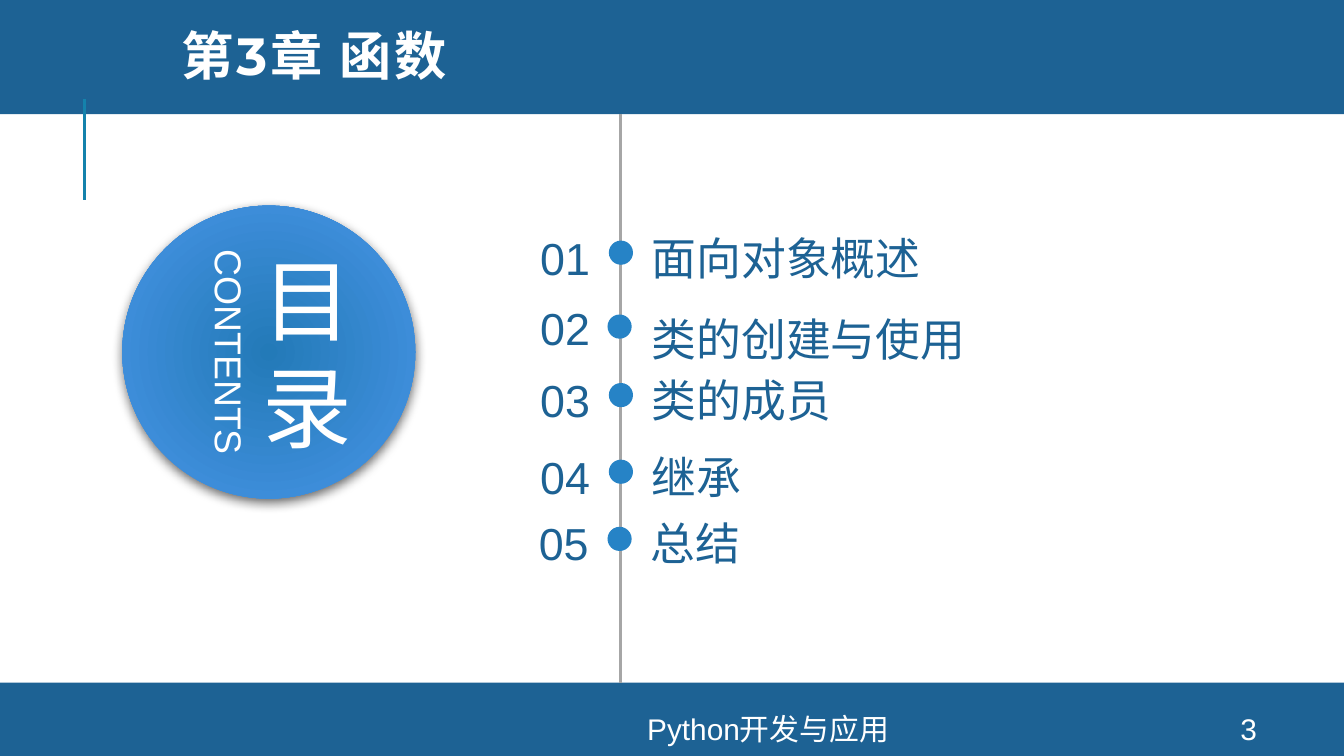
import dataclasses
import typing

import lxml.etree
import pptx
import pptx.dml.color
import pptx.enum.shapes
import pptx.enum.text
import pptx.oxml
import pptx.oxml.ns
import pptx.util

RGBColor = pptx.dml.color.RGBColor
ShapeKind = pptx.enum.shapes.MSO_SHAPE
Align = pptx.enum.text.PP_ALIGN
Anchor = pptx.enum.text.MSO_ANCHOR

NAVY = RGBColor(0x1D, 0x62, 0x94)
BLUE = RGBColor(0x26, 0x83, 0xC6)
TEAL = RGBColor(0x14, 0x82, 0xAC)
GREY = RGBColor(0xA6, 0xA6, 0xA6)
WHITE = RGBColor(0xFF, 0xFF, 0xFF)
DISC_CENTRE = RGBColor(0x23, 0x7A, 0xB8)
DISC_EDGE = RGBColor(0x48, 0x95, 0xE7)

# Grid of 1000 columns on a 16:9 page, with square cells
CELL = pptx.util.Inches(0.01)
COLUMNS = 1000
ROWS = COLUMNS * 9 / 16
HEADER_END, FOOTER_START = 85, 508
NAMESPACE = 'xmlns:a="http://schemas.openxmlformats.org/drawingml/2006/main"'


class Frame(typing.NamedTuple):
    column: float
    row: float
    columns: float
    rows: float

    def lengths(self) -> list[int]:
        return [round(CELL * count) for count in self]


@dataclasses.dataclass
class Style:
    size: int
    color: RGBColor = WHITE
    font: str = "Arial"
    bold: bool = False
    align: Align = Align.LEFT
    anchor: Anchor = Anchor.TOP
    inset: bool = True
    line_spacing: float = 1.0
    tracking: float = 0


@dataclasses.dataclass
class Entry:
    number: str
    heading: str
    row: int
    dot_row: int
    shift: int = 0
    dot_shift: int = 0
    heading_columns: int = 337
    heading_rows: int = 40
    line_spacing: float = 1.0


ENTRIES = [
    Entry("01", "面向对象概述", 172, 179),
    Entry("02", "类的创建与使用", 224, 234, dot_shift=-1,
          heading_columns=387, heading_rows=48, line_spacing=1.2),
    Entry("03", "类的成员", 277, 285),
    Entry("04", "继承", 335, 342),
    Entry("05", "总结", 384, 392, shift=-1, dot_shift=-1),
]

deck = pptx.Presentation()
deck.slide_width, deck.slide_height = CELL * COLUMNS, round(CELL * ROWS)
page = deck.slides.add_slide(deck.slide_layouts[5])


def apply(target: typing.Any, values: dict[str, typing.Any]) -> None:
    for name, value in values.items():
        setattr(target, name, value)


def write(box: typing.Any, lines: list[str], style: Style) -> None:
    text_frame = box.text_frame
    apply(text_frame, {"word_wrap": True, "vertical_anchor": style.anchor,
                       "auto_size": pptx.enum.text.MSO_AUTO_SIZE.NONE})
    if not style.inset:
        apply(text_frame, dict.fromkeys(
            ["margin_left", "margin_top", "margin_right", "margin_bottom"], 0))
    for index, line in enumerate(lines):
        para = text_frame.add_paragraph() if index else text_frame.paragraphs[0]
        apply(para, {"alignment": style.align, "line_spacing": style.line_spacing})
        span = para.add_run()
        span.text = line
        apply(span.font, {"name": style.font, "size": pptx.util.Pt(style.size),
                          "bold": style.bold})
        span.font.color.rgb = style.color
        if style.tracking:
            span.font._element.set("spc", str(round(style.tracking * 100)))


def add_text(frame: Frame, lines: list[str], style: Style) -> typing.Any:
    box = page.shapes.add_textbox(*frame.lengths())
    write(box, lines, style)
    return box


def add_filled(kind: ShapeKind, frame: Frame, color: RGBColor) -> typing.Any:
    shape = page.shapes.add_shape(kind, *frame.lengths())
    shape.shadow.inherit = False
    shape.fill.solid()
    shape.fill.fore_color.rgb = color
    shape.line.fill.background()
    return shape


def add_rule(column: int, start: int, end: int, color: RGBColor) -> None:
    rule = page.shapes.add_connector(
        pptx.enum.shapes.MSO_CONNECTOR.STRAIGHT,
        CELL * column, CELL * start, CELL * column, CELL * end)
    rule.line.color.rgb = color
    rule.line.width = pptx.util.Pt(1.5)
    lxml.etree.SubElement(rule._element.spPr, pptx.oxml.ns.qn("a:effectLst"))


def add_disc(frame: Frame) -> None:
    disc = add_filled(ShapeKind.OVAL, frame, DISC_CENTRE)
    properties = disc._element.spPr
    gradient = pptx.oxml.parse_xml(
        f'<a:gradFill {NAMESPACE} rotWithShape="1"><a:gsLst>'
        f'<a:gs pos="0"><a:srgbClr val="{DISC_CENTRE}"/></a:gs>'
        f'<a:gs pos="100000"><a:srgbClr val="{DISC_EDGE}"/></a:gs></a:gsLst>'
        '<a:path path="circle"><a:fillToRect l="100000" t="100000"'
        ' r="100000" b="100000"/></a:path></a:gradFill>')
    properties.replace(properties.find(pptx.oxml.ns.qn("a:solidFill")), gradient)
    shadow = pptx.oxml.parse_xml(
        f'<a:outerShdw {NAMESPACE} blurRad="{pptx.util.Pt(6)}"'
        f' dist="{pptx.util.Pt(2)}" dir="5400000" rotWithShape="0">'
        '<a:srgbClr val="000000"><a:alpha val="60000"/></a:srgbClr></a:outerShdw>')
    properties.find(pptx.oxml.ns.qn("a:effectLst")).append(shadow)


# Header and footer bands, rules
for band in (Frame(0, -3, COLUMNS, HEADER_END + 3),
             Frame(0, FOOTER_START, COLUMNS, ROWS - FOOTER_START)):
    add_filled(ShapeKind.RECTANGLE, band, NAVY)
add_rule(63, 74, 149, TEAL)
add_rule(462, HEADER_END, FOOTER_START, GREY)

# Contents disc
add_disc(Frame(91, 153, 218, 218))
add_text(Frame(158, 161, 141, 202), ["目", "录"],
         Style(48, align=Align.CENTER, anchor=Anchor.MIDDLE, inset=False, tracking=6))
contents = add_text(Frame(65, 240, 211, 44), ["CONTENTS"],
                    Style(20, align=Align.CENTER))
contents.rotation = 90

# Footer text and page number
footer_style = Style(16, align=Align.CENTER, anchor=Anchor.MIDDLE)
add_text(Frame(261, 531, 621, 23), ["Python开发与应用"], footer_style)
add_text(Frame(889, 531, 80, 23), ["3"], footer_style)

# Chapter entries
number_style = Style(24, NAVY, align=Align.RIGHT, inset=False)
for entry in ENTRIES:
    add_filled(ShapeKind.OVAL,
               Frame(453 + entry.dot_shift, entry.dot_row, 18, 18), BLUE)
    add_text(Frame(380 + entry.shift, entry.row, 59, 40),
             [entry.number], number_style)
    add_text(Frame(485 + entry.shift, entry.row,
                   entry.heading_columns, entry.heading_rows),
             [entry.heading],
             Style(24, NAVY, inset=False, line_spacing=entry.line_spacing))

# Title, brought in front of the header band
title = page.shapes.title
apply(title, dict(zip(["left", "top", "width", "height"],
                      Frame(125, 9, 826, 72).lengths())))
write(title, ["第3章 函数"],
      Style(28, font="Montserrat", bold=True, anchor=Anchor.MIDDLE,
            line_spacing=0.8, tracking=1.5))
page.shapes.element.append(title.element)

deck.save("out.pptx")
